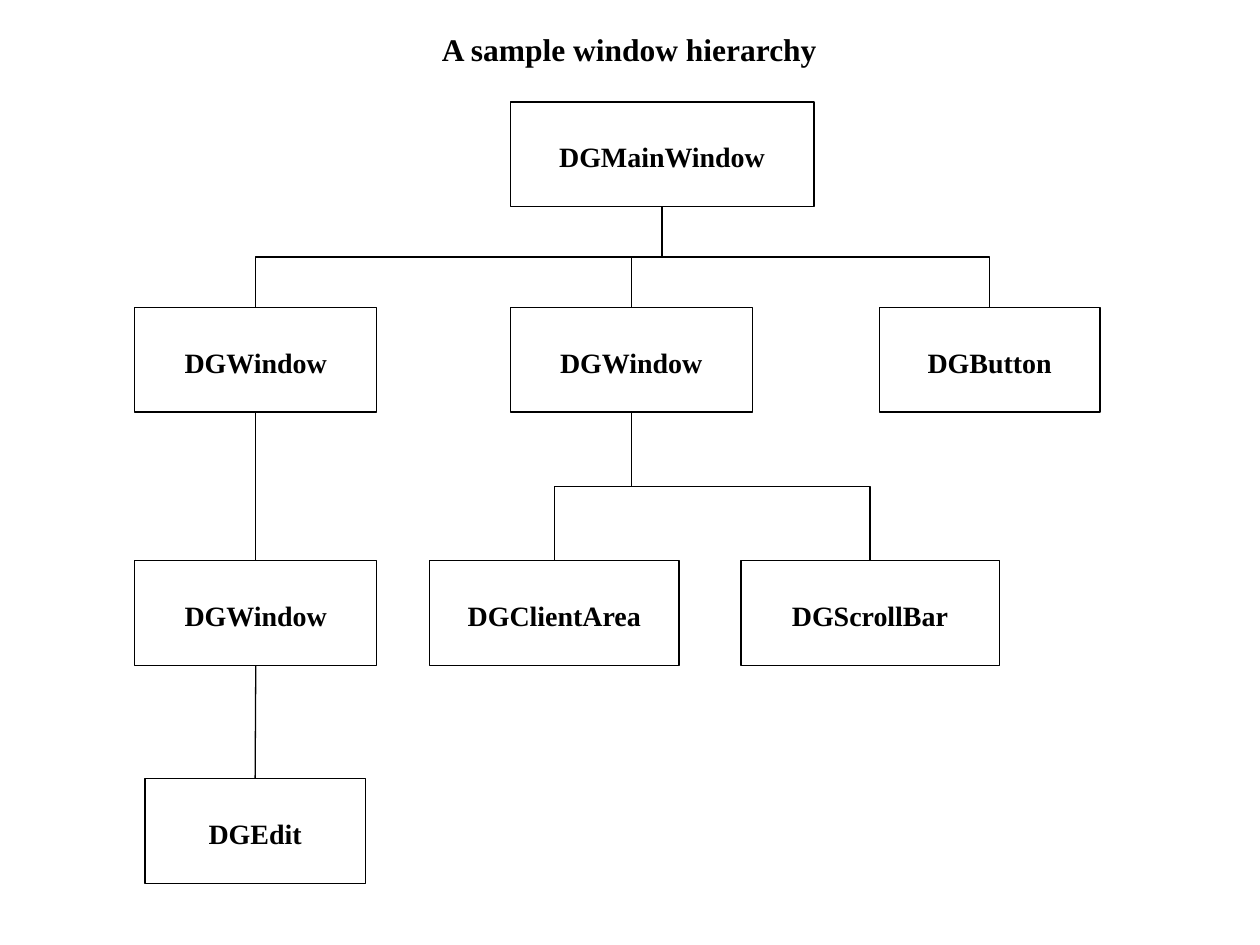
import pptx
import pptx.dml.color
import pptx.enum.shapes
import pptx.enum.text
import pptx.oxml.ns
import pptx.util
from lxml import etree

Inches = pptx.util.Inches
Pt = pptx.util.Pt

COLORS = {"ink": "000000", "paper": "FFFFFF"}
FONT = "Times New Roman"
BOX_HEIGHT = 0.83
LABEL_SCALE = 0.81
ROWS = {"main": 0.81, "children": 2.44, "grandchildren": 4.45, "edit": 6.18}

WINDOWS = {
    "main": ("DGMainWindow", 4.05, "main", 2.41),
    "left": ("DGWindow", 1.07, "children", 1.92),
    "middle": ("DGWindow", 4.05, "children", 1.92),
    "button": ("DGButton", 6.98, "children", 1.75),
    "client": ("DGClientArea", 3.41, "grandchildren", 1.98),
    "scroll": ("DGScrollBar", 5.88, "grandchildren", 2.05),
    "edit": ("DGEdit", 1.15, "edit", 1.75),
    "inner": ("DGWindow", 1.07, "grandchildren", 1.92),
}

LINKS = [
    ("main", "left"), ("main", "middle"), ("main", "button"),
    ("left", "inner"), ("inner", "edit"),
    ("middle", "client"), ("middle", "scroll"),
]


def color(name):
    return pptx.dml.color.RGBColor.from_string(COLORS[name])


def style_line(line):
    line.color.rgb = color("ink")
    line.width = Pt(0.75)


def add_label(shapes, text, left, top, width, height, size, wrap=True, space_before=0):
    label = shapes.add_textbox(Inches(left), Inches(top), Inches(width), Inches(height))
    frame = label.text_frame
    frame.text = text
    frame.word_wrap = wrap
    frame.auto_size = pptx.enum.text.MSO_AUTO_SIZE.SHAPE_TO_FIT_TEXT
    paragraph = frame.paragraphs[0]
    paragraph.alignment = pptx.enum.text.PP_ALIGN.CENTER
    paragraph.space_before = Pt(space_before)
    font = paragraph.runs[0].font
    font.name = FONT
    font.size = Pt(size)
    font.bold = True
    font.color.rgb = color("ink")


def add_window(slide, text, left, row, width):
    top = ROWS[row]
    group = slide.shapes.add_group_shape()
    box = group.shapes.add_shape(
        pptx.enum.shapes.MSO_SHAPE.FLOWCHART_PROCESS,
        Inches(left), Inches(top), Inches(width), Inches(BOX_HEIGHT))
    box.shadow.inherit = False
    box.fill.solid()
    box.fill.fore_color.rgb = color("paper")
    style_line(box.line)
    label_width = width * LABEL_SCALE
    add_label(group.shapes, text, left + (width - label_width) / 2, top + 0.25,
              label_width, 0.37, 16, space_before=10)
    return box


def turn_vertical(connector):
    across = connector.end_x - connector.begin_x
    down = connector.end_y - connector.begin_y
    center_x = (connector.begin_x + connector.end_x) // 2
    center_y = (connector.begin_y + connector.end_y) // 2
    transform = connector._element.spPr.find(pptx.oxml.ns.qn("a:xfrm"))
    transform.attrib.clear()
    transform.set("rot", "16200000" if across > 0 else "5400000")
    if across > 0:
        transform.set("flipH", "1")
    connector.width, connector.height = down, abs(across)
    connector.left = center_x - down // 2
    connector.top = center_y - abs(across) // 2


def add_link(slide, parent, child):
    kinds = pptx.enum.shapes.MSO_CONNECTOR
    offset = child.left + child.width // 2 - parent.left - parent.width // 2
    straight = abs(offset) < Inches(0.02)
    connector = slide.shapes.add_connector(
        kinds.STRAIGHT if straight else kinds.ELBOW, 0, 0, 0, 0)
    connector.begin_connect(parent, 2)
    connector.end_connect(child, 0)
    if not straight:
        turn_vertical(connector)
    style_line(connector.line)
    etree.SubElement(connector._element.spPr, pptx.oxml.ns.qn("a:effectLst"))


def main():
    presentation = pptx.Presentation()
    presentation.slide_width = Inches(10)
    presentation.slide_height = Inches(7.5)
    slide = presentation.slides.add_slide(presentation.slide_layouts[6])
    add_label(slide.shapes, "A sample window hierarchy", 3.4, 0.19, 3.19, 0.4, 18, wrap=False)
    boxes = {name: add_window(slide, *window) for name, window in WINDOWS.items()}
    for parent, child in LINKS:
        add_link(slide, boxes[parent], boxes[child])
    presentation.save("out.pptx")


if __name__ == "__main__":
    main()
